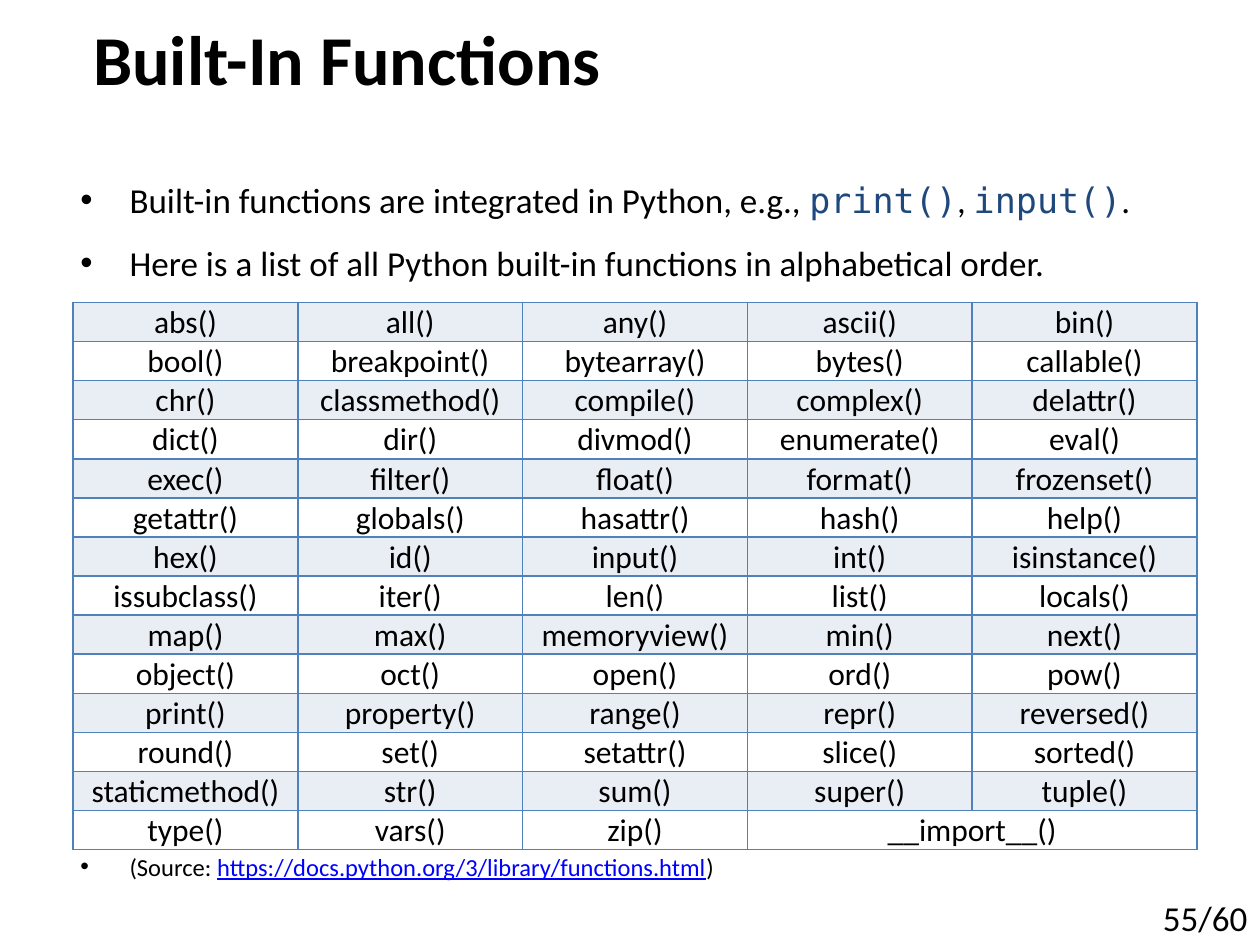
from lxml.etree import SubElement
from pptx import Presentation
from pptx.dml.color import RGBColor
from pptx.enum.text import MSO_ANCHOR, PP_ALIGN
from pptx.oxml.ns import qn
from pptx.util import Emu, Inches, Pt

BLACK = RGBColor(0x00, 0x00, 0x00)
WHITE = RGBColor(0xFF, 0xFF, 0xFF)
NAVY = RGBColor(0x1F, 0x49, 0x7D)
LINK = RGBColor(0x00, 0x00, 0xFF)
BAND = RGBColor(0xE9, 0xED, 0xF4)
BORDER = RGBColor(0x4F, 0x81, 0xBD)

FUNCTIONS = """
abs() all() any() ascii() bin()
bool() breakpoint() bytearray() bytes() callable()
chr() classmethod() compile() complex() delattr()
dict() dir() divmod() enumerate() eval()
exec() filter() float() format() frozenset()
getattr() globals() hasattr() hash() help()
hex() id() input() int() isinstance()
issubclass() iter() len() list() locals()
map() max() memoryview() min() next()
object() oct() open() ord() pow()
print() property() range() repr() reversed()
round() set() setattr() slice() sorted()
staticmethod() str() sum() super() tuple()
type() vars() zip() __import__()
"""


class SlideBuilder:
    """Holds the text style and the current slide, and adds its elements."""

    font = "Calibri"
    code_font = "DejaVu Sans Mono"

    def __init__(self, prs):
        self.slide = prs.slides.add_slide(prs.slide_layouts[5])

    def style(self, r, size, color=BLACK, name=None, bold=False):
        r.font.name = name or self.font
        r.font.size = Pt(size)
        r.font.color.rgb = color
        r.font.bold = bold

    def title(self, text, left, top, width, height):
        sp = self.slide.shapes.title
        sp.left, sp.top = Inches(left), Inches(top)
        sp.width, sp.height = Inches(width), Inches(height)
        tf = sp.text_frame
        tf.text = text
        tf.vertical_anchor = MSO_ANCHOR.MIDDLE
        p = tf.paragraphs[0]
        p.alignment = PP_ALIGN.LEFT
        self.style(p.runs[0], 40, bold=True)

    def text_box(self, left, top, width, height):
        sp = self.slide.shapes.add_textbox(
            Inches(left), Inches(top), Inches(width), Inches(height))
        sp.text_frame.word_wrap = True
        return sp.text_frame

    def bullets(self, items, size, left, top, width, height):
        tf = self.text_box(left, top, width, height)
        for i, parts in enumerate(items):
            p = tf.add_paragraph() if i else tf.paragraphs[0]
            pPr = p._p.get_or_add_pPr()
            pPr.set("marL", str(Inches(0.39)))
            pPr.set("indent", str(-Inches(0.39)))
            SubElement(pPr, qn("a:buFont"), typeface="Arial")
            SubElement(pPr, qn("a:buChar"), char="•")
            p.space_before = Pt(12 if i else 0)
            for text, kind in parts:
                r = p.add_run()
                r.text = text
                if kind == "code":
                    self.style(r, size, NAVY, self.code_font)
                elif kind == "link":
                    self.style(r, size, LINK)
                    r.font.underline = True
                else:
                    self.style(r, size)

    def page_number(self, text, left, top, width, height):
        tf = self.text_box(left, top, width, height)
        tf.text = text
        tf.vertical_anchor = MSO_ANCHOR.BOTTOM
        p = tf.paragraphs[0]
        p.alignment = PP_ALIGN.RIGHT
        self.style(p.runs[0], 20)

    def cell(self, cell, text, fill):
        tcPr = cell._tc.get_or_add_tcPr()
        for side in ("a:lnL", "a:lnR", "a:lnT", "a:lnB"):
            ln = SubElement(tcPr, qn(side), w=str(Pt(1)))
            solid = SubElement(ln, qn("a:solidFill"))
            SubElement(solid, qn("a:srgbClr"), val=str(BORDER))
        cell.fill.solid()
        cell.fill.fore_color.rgb = fill
        cell.margin_left = cell.margin_right = cell.margin_top = Inches(0.01)
        cell.margin_bottom = Emu(0)
        cell.vertical_anchor = MSO_ANCHOR.MIDDLE
        p = cell.text_frame.paragraphs[0]
        p.text = text
        p.alignment = PP_ALIGN.CENTER
        for r in p.runs:
            self.style(r, 18)

    def table(self, rows, left, top, width, height):
        cols = len(rows[0])
        table = self.slide.shapes.add_table(
            len(rows), cols, Inches(left), Inches(top),
            Inches(width), Inches(height)).table
        table.first_row = table.horz_banding = False
        for i, names in enumerate(rows):
            fill = WHITE if i % 2 else BAND
            for j in range(cols):
                text = names[j] if j < len(names) else ""
                self.cell(table.cell(i, j), text, fill)
            if len(names) < cols:
                table.cell(i, len(names) - 1).merge(table.cell(i, cols - 1))


def main():
    prs = Presentation()
    prs.slide_width, prs.slide_height = Inches(10), Inches(7.5)
    s = SlideBuilder(prs)
    s.page_number("55/60", 8.63, 6.96, 1.37, 0.54)
    s.title("Built-In Functions", 0.64, 0, 8.86, 0.92)
    s.bullets([
        [("Built-in functions are integrated in Python, e.g., ", "text"),
         ("print()", "code"), (", ", "text"), ("input()", "code"),
         (".", "text")],
        [("Here is a list of all Python built-in functions in alphabetical"
          " order.", "text")],
    ], 20, 0.54, 1.37, 9.26, 0.95)
    s.bullets([
        [("(Source: ", "text"),
         ("https://docs.python.org/3/library/functions.html", "link"),
         (")", "text")],
    ], 14, 0.54, 6.71, 9.26, 0.34)
    rows = [line.split() for line in FUNCTIONS.strip().splitlines()]
    s.table(rows, 0.58, 2.4, 8.92, 4.34)
    prs.save("out.pptx")


if __name__ == "__main__":
    main()
